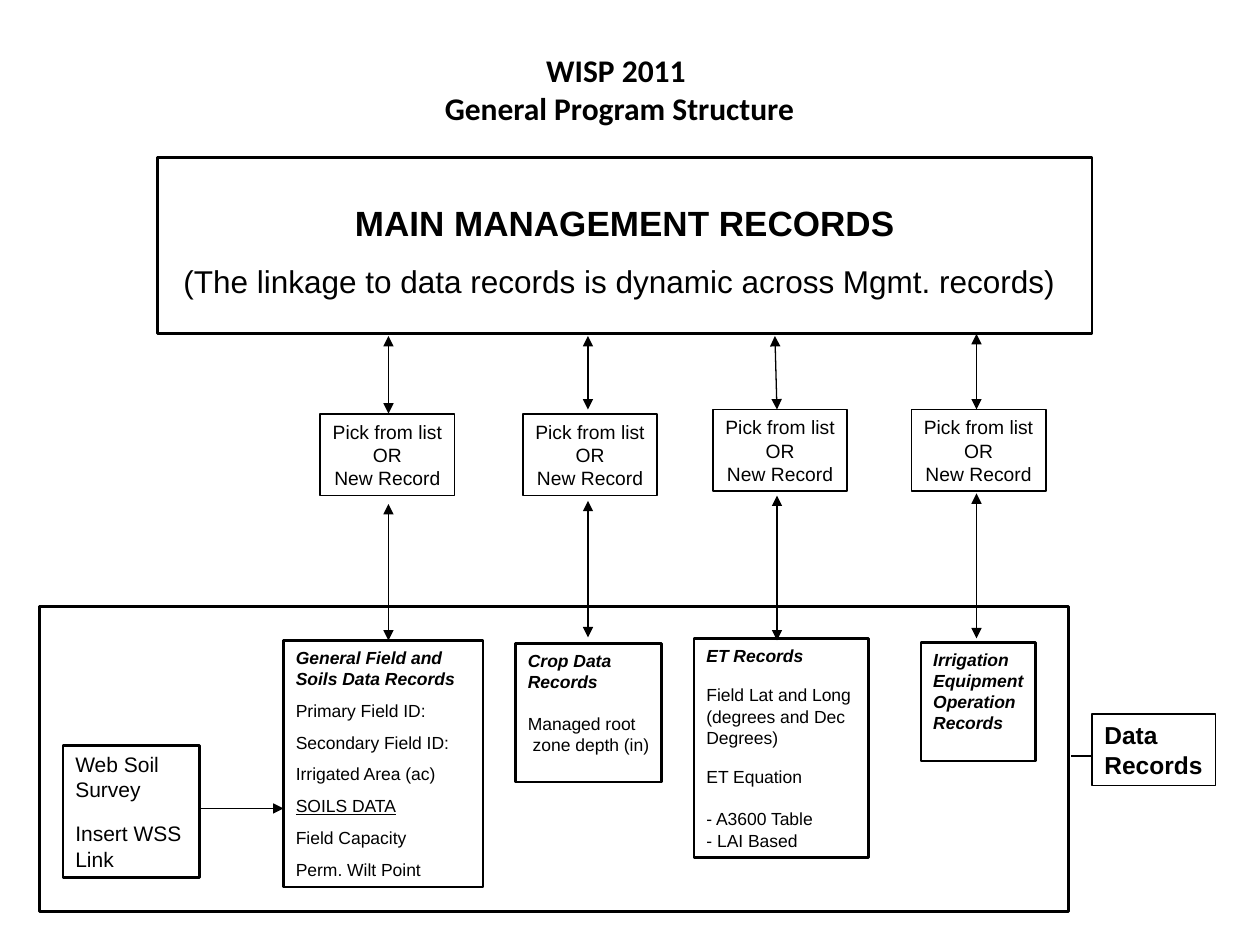
import dataclasses

import pptx
import pptx.dml.color
import pptx.enum.shapes
import pptx.enum.text
import pptx.oxml.ns
import pptx.util
from lxml import etree

ALIGN = pptx.enum.text.PP_ALIGN
ANCHOR = pptx.enum.text.MSO_ANCHOR


def text_style(size, name="Arial", **flags):
    return {"name": name, "size": pptx.util.Pt(size), **flags}


@dataclasses.dataclass(frozen=True)
class Theme:
    ink = pptx.dml.color.RGBColor(0, 0, 0)
    paper = pptx.dml.color.RGBColor(255, 255, 255)
    hairline = 0.75
    thin = 1
    thick = 1.5
    frame = 1.75
    styles = {
        "title": text_style(18, "Calibri", bold=True),
        "main": text_style(20, bold=True),
        "linkage": text_style(18),
        "pick": text_style(11),
        "heading": text_style(10, bold=True, italic=True),
        "field": text_style(10),
        "section": text_style(10, underline=True),
        "survey": text_style(12),
        "label": text_style(14, bold=True),
    }


class Diagram:
    columns, rows = 120, 90

    def __init__(self, deck, theme):
        self.theme = theme
        self.column = deck.slide_width / self.columns
        self.row = deck.slide_height / self.rows
        self.page = deck.slides.add_slide(deck.slide_layouts[5])

    def place(self, left, top, width, height):
        return (round(left * self.column), round(top * self.row),
                round(width * self.column), round(height * self.row))

    def set_text(self, shape, lines, align=ALIGN.LEFT, wrap=False, anchor=ANCHOR.TOP, inset=0.05):
        frame = shape.text_frame
        settings = {
            "auto_size": pptx.enum.text.MSO_AUTO_SIZE.NONE,
            "word_wrap": wrap,
            "vertical_anchor": anchor,
            "margin_left": pptx.util.Inches(0.1),
            "margin_right": pptx.util.Inches(0.1),
            "margin_top": pptx.util.Inches(inset),
            "margin_bottom": pptx.util.Inches(0.05),
        }
        for key, value in settings.items():
            setattr(frame, key, value)
        for index, (text, style, gap) in enumerate(lines):
            para = frame.add_paragraph() if index else frame.paragraphs[0]
            para.text = text
            para.alignment = align
            para.space_before = pptx.util.Pt(gap)
            for span in para.runs:
                for key, value in self.theme.styles[style].items():
                    setattr(span.font, key, value)
                span.font.color.rgb = self.theme.ink

    def title(self, area, text):
        box = self.page.shapes.title
        for key, value in zip(("left", "top", "width", "height"), self.place(*area)):
            setattr(box, key, value)
        self.set_text(box, [(text, "title", 0)], ALIGN.CENTER, True, ANCHOR.MIDDLE)

    def box(self, area, weight, lines=(), fill=None, **layout):
        kind = pptx.enum.shapes.MSO_SHAPE.RECTANGLE
        box = self.page.shapes.add_shape(kind, *self.place(*area))
        box.shadow.inherit = False
        if fill is None:
            box.fill.background()
        else:
            box.fill.solid()
            box.fill.fore_color.rgb = fill
        box.line.color.rgb = self.theme.ink
        box.line.width = pptx.util.Pt(weight)
        self.set_text(box, lines, **layout)

    def caption(self, area, text, style):
        box = self.page.shapes.add_textbox(*self.place(*area))
        self.set_text(box, [(text, style, 0)])

    def link(self, start, end, heads=()):
        line = self.page.shapes.add_connector(
            pptx.enum.shapes.MSO_CONNECTOR.STRAIGHT, *self.place(*start, *end))
        line.line.color.rgb = self.theme.ink
        line.line.width = pptx.util.Pt(self.theme.hairline)
        properties = line._element.spPr
        outline = properties.find(pptx.oxml.ns.qn("a:ln"))
        for head in heads:
            etree.SubElement(outline, pptx.oxml.ns.qn(f"a:{head}"), type="triangle")
        etree.SubElement(properties, pptx.oxml.ns.qn("a:effectLst"))


def main():
    deck = pptx.Presentation()
    deck.slide_width = pptx.util.Inches(10)
    deck.slide_height = pptx.util.Inches(7.5)
    theme = Theme()
    diagram = Diagram(deck, theme)
    both = ("headEnd", "tailEnd")

    diagram.title((30, 5, 58, 7), "WISP 2011 \vGeneral Program Structure")
    diagram.box((15, 15, 89, 16.8), theme.thick, [("MAIN MANAGEMENT RECORDS", "main", 0)],
                align=ALIGN.CENTER, wrap=True, inset=0.35)
    diagram.caption((16.3, 24.4, 85.4, 4.8),
                    "(The linkage to data records is dynamic across Mgmt. records)", "linkage")

    field_lines = [
        ("General Field and Soils Data Records", "heading", 0),
        ("Primary Field ID:", "field", 6.2),
        ("Secondary Field ID:", "field", 6.2),
        ("Irrigated Area (ac)", "field", 6.2),
        ("SOILS DATA", "section", 6.2),
        ("Field Capacity", "field", 6.2),
        ("Perm. Wilt Point", "field", 6.2),
    ]
    crop_lines = [
        ("Crop Data", "heading", 0),
        ("Records", "heading", 0),
        ("Managed root", "field", 12),
        (" zone depth (in)", "field", 0),
    ]
    et_lines = [
        ("ET Records", "heading", 0),
        ("Field Lat and Long", "field", 10.8),
        ("(degrees and Dec", "field", 0),
        ("Degrees)", "field", 0),
        ("ET Equation", "field", 10.8),
        ("- A3600 Table", "field", 12),
        ("- LAI Based", "field", 0),
    ]
    irrigation_lines = [(word, "heading", 0)
                        for word in ("Irrigation", "Equipment", "Operation", "Records")]
    records = [
        ((27, 61, 19, 23.5), field_lines, True),
        ((49.1, 61.3, 13.9, 13.2), crop_lines, False),
        ((66.1, 60.8, 16.6, 20.9), et_lines, False),
        ((87.7, 61.2, 10.9, 11.3), irrigation_lines, False),
    ]
    for area, lines, wrap in records:
        diagram.box(area, theme.thick, lines, wrap=wrap)

    survey_lines = [("Web Soil Survey", "survey", 0), ("Insert WSS Link", "survey", 10.8)]
    diagram.box((6, 71, 13, 12.6), theme.thick, survey_lines, wrap=True)
    diagram.link((19, 77), (27, 77), ("tailEnd",))

    pick_lines = [(text, "pick", 0) for text in ("Pick from list", "OR", "New Record")]
    picks = [
        (30.5, 39.4, (37, 32), (37, 39.4), 48, 61),
        (49.8, 39.4, (56, 32), (56, 39), 47.7, 60.7),
        (67.9, 39, (73.8, 32), (74, 39), 47.2, 61),
        (86.8, 39, (93, 31.8), (93, 39), 47, 60.8),
    ]
    for left, top, start, end, lower_start, lower_end in picks:
        diagram.box((left, top, 12.8, 7.8), theme.thin, pick_lines,
                    fill=theme.paper, align=ALIGN.CENTER)
        diagram.link(start, end, both)
        diagram.link((end[0], lower_start), (end[0], lower_end), both)

    diagram.box((104, 68, 11.8, 6.8), theme.hairline,
                [("Data", "label", 0), ("Records", "label", 0)])
    diagram.box((3.8, 57.8, 98, 29), theme.frame)
    diagram.link((102, 72), (104, 72))
    deck.save("out.pptx")


if __name__ == "__main__":
    main()
